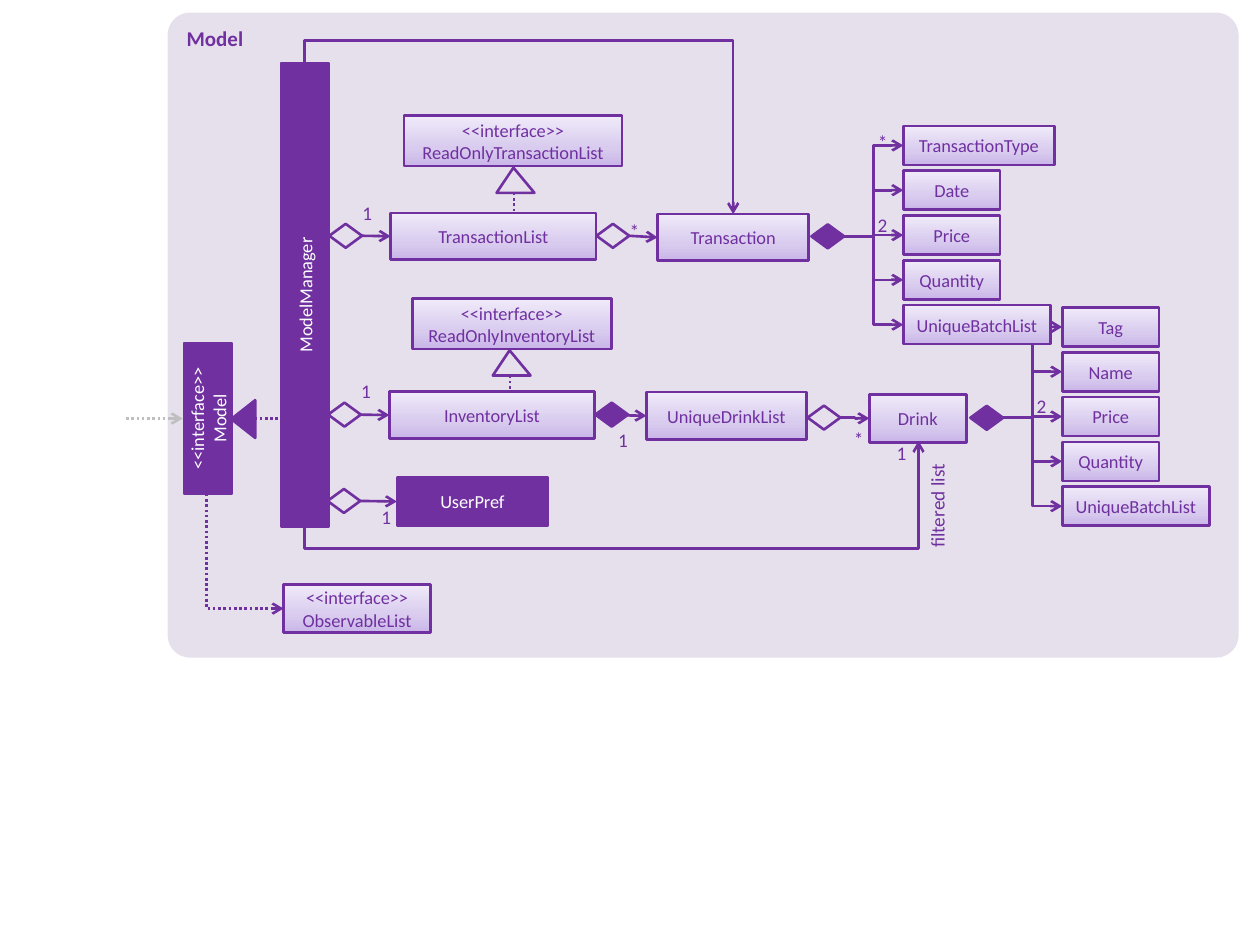
from copy import deepcopy

from pptx import Presentation
from pptx.dml.color import RGBColor
from pptx.enum.dml import MSO_LINE
from pptx.enum.shapes import MSO_CONNECTOR, MSO_SHAPE
from pptx.enum.text import MSO_ANCHOR, PP_ALIGN
from pptx.oxml.ns import qn
from pptx.oxml.xmlchemy import OxmlElement
from pptx.util import Pt

COLORS = {"purple": "7030A0", "panel": "E6E0EC", "white": "FFFFFF", "gray": "BFBFBF"}
GRADIENT = [(0, "C9B5E8"), (0.35, "D8CBEE"), (1, "F0EAF9")]
TOP, LEFT, BOTTOM, RIGHT = range(4)
DIAMOND = (18.7, 13.7)
STRAIGHT, ELBOW = MSO_CONNECTOR.STRAIGHT, MSO_CONNECTOR.ELBOW


def color(name):
    """Return the named colour."""
    return RGBColor.from_string(COLORS[name])


def write(shape, text, ink="purple", size=10.5, bold=False,
          align=PP_ALIGN.CENTER, anchor=MSO_ANCHOR.MIDDLE):
    """Put formatted text into a shape."""
    frame = shape.text_frame
    frame.word_wrap = True
    frame.vertical_anchor = anchor
    frame.text = text
    for para in frame.paragraphs:
        para.alignment = align
        para.font.color.rgb = color(ink)
        for key, value in {"name": "Calibri", "size": Pt(size), "bold": bold}.items():
            setattr(para.font, key, value)


def add_form(page, kind, box, fill=None, outline=True, turn=0):
    """Add a preset shape with a plain fill or none."""
    shape = page.shapes.add_shape(kind, *map(Pt, box))
    shape.shadow.inherit = False
    shape.rotation = turn
    if fill:
        shape.fill.solid()
        shape.fill.fore_color.rgb = color(fill)
    else:
        shape.fill.background()
    if outline:
        shape.line.color.rgb = color("purple")
        shape.line.width = Pt(1.5)
    else:
        shape.line.fill.background()
    return shape


def add_solid_box(page, box, text, turn=0):
    """Add a dark class box with white text."""
    shape = add_form(page, MSO_SHAPE.RECTANGLE, box, "purple", turn=turn)
    write(shape, text, "white")
    return shape


def add_class_box(page, box, text):
    """Add a light gradient class box."""
    shape = add_form(page, MSO_SHAPE.RECTANGLE, box)
    shape.fill.gradient()
    shape.fill.gradient_angle = 90
    first = shape.element.xpath(".//a:gs")[0]
    first.addnext(deepcopy(first))
    for stop, (position, value) in zip(shape.fill.gradient_stops, GRADIENT):
        stop.position = position
        stop.color.rgb = RGBColor.from_string(value)
    write(shape, text)
    return shape


def add_diamond(page, left, top, fill=None):
    """Add an aggregation or, when filled, a composition diamond."""
    return add_form(page, MSO_SHAPE.FLOWCHART_DECISION, (left, top, *DIAMOND), fill)


def add_label(page, text, left, top, width=15.1, height=14.4):
    """Add a multiplicity label."""
    label = page.shapes.add_textbox(*map(Pt, (left, top, width, height)))
    for side in ("left", "top", "right", "bottom"):
        setattr(label.text_frame, f"margin_{side}", 0)
    write(label, text, size=11, anchor=MSO_ANCHOR.TOP)


def add_link(page, begin, end, kind=STRAIGHT, turn=0, bend=None, preset=None,
             ink="purple", dotted=False, arrow=True):
    """Add a connector whose ends hold after it is turned."""
    middle = [(a + b) / 2 for a, b in zip(begin, end)]
    sine = {0: 0, 90: 1, 270: -1}[turn]
    cosine = 1 - abs(sine)
    ends = []
    for x, y in (begin, end):
        across, down = x - middle[0], y - middle[1]
        ends += [middle[0] + across * cosine + down * sine,
                 middle[1] + down * cosine - across * sine]
    link = page.shapes.add_connector(kind, *map(Pt, ends))
    link.line.color.rgb = color(ink)
    link.line.width = Pt(1.5)
    if dotted:
        link.line.dash_style = MSO_LINE.ROUND_DOT
    props = link.element.spPr
    if arrow:
        tail = OxmlElement("a:tailEnd")
        tail.set("type", "arrow")
        props.find(qn("a:ln")).append(tail)
    props.append(OxmlElement("a:effectLst"))
    if turn:
        props.find(qn("a:xfrm")).set("rot", str(turn * 60000))
    geometry = props.find(qn("a:prstGeom"))
    if preset:
        geometry.set("prst", preset)
    if bend is not None:
        guide = OxmlElement("a:gd")
        guide.set("name", "adj1")
        guide.set("fmla", f"val {round(bend * 100000)}")
        geometry.get_or_add_avLst().append(guide)
    return link


def join(page, source, target, kind=STRAIGHT, site=RIGHT):
    """Link a side of one shape to the left side of another."""
    link = add_link(page, (0, 0), (10, 10), kind)
    link.begin_connect(source, site)
    link.end_connect(target, LEFT)


def add_fan(page, left, top, items, labels):
    """Add a composition diamond that branches to a column of parts."""
    diamond = add_diamond(page, left - 52.5, top + 56.2, "purple")
    for row, (name, width) in enumerate(items):
        part = add_class_box(page, (left, top + row * 25.6, width, 22.3), name)
        join(page, diamond, part, ELBOW)
    for text, offset in labels:
        add_label(page, text, left - 19.4, top + offset)


def add_list_row(page, left, top, name, interface, width, lift, peak, fill=None):
    """Add a list class with its interface above and diamonds on both sides."""
    entry = add_class_box(page, (left, top, 117.4, 26.6), name)
    add_class_box(page, (left + 70 - width / 2, top - lift, width, 28.8),
                  f"<<interface>>\v{interface}")
    roof = top - lift + 29.6
    add_link(page, (left + peak, roof + 14.4), (left + peak, top), ELBOW,
             turn=270, dotted=True, arrow=False)
    triangle = add_form(page, MSO_SHAPE.ISOSCELES_TRIANGLE,
                        (left + peak - 10, roof, 21.6, 14.4), "panel")
    triangle.adjustments[0] = 0.445
    middle = top + 6.2
    join(page, add_diamond(page, left - 35, middle), entry)
    return add_diamond(page, left + 117.7, middle, fill)


def add_transactions(page, left, top):
    """Add the transaction list and the transaction class."""
    diamond = add_list_row(page, left, top, "TransactionList",
                           "ReadOnlyTransactionList", 124.6, 55.5, 70.6)
    entry = add_class_box(page, (left + 152.6, top + 0.7, 86.4, 26.6), "Transaction")
    join(page, diamond, entry)
    add_label(page, "1", left - 20.2, top - 6.5, 13.7, 10.8)
    add_label(page, "*", left + 132.5, top + 3.6, 13.7, 10.8)


def add_inventory(page, left, top):
    """Add the inventory list, the drink list and the drink class."""
    diamond = add_list_row(page, left, top, "InventoryList",
                           "ReadOnlyInventoryList", 113.8, 53.3, 69.1, "purple")
    drinks = add_class_box(page, (left + 146.9, top, 91.4, 27.4), "UniqueDrinkList")
    join(page, diamond, drinks, site=LEFT)
    drink = add_class_box(page, (left + 274.3, top + 1.5, 55.4, 27.4), "Drink")
    join(page, add_diamond(page, left + 239, top + 7.9), drink, ELBOW)
    add_label(page, "1", left - 20.2, top - 7.2, 13.7, 10.8)
    for text, across, down in (("1", 126, 20.9), ("*", 260.6, 20.2), ("1", 285.1, 28.1)):
        add_label(page, text, left + across, top + down)


def add_manager(page, left, top):
    """Add the panel, the manager, its interfaces and the preferences."""
    panel = add_form(page, MSO_SHAPE.ROUNDED_RECTANGLE, (left, top, 612, 368.6),
                     "panel", outline=False)
    panel.adjustments[0] = 0.035
    write(panel, "Model", size=12, bold=True, align=PP_ALIGN.LEFT, anchor=MSO_ANCHOR.TOP)
    preferences = add_solid_box(page, (left + 131, top + 265.7, 86.4, 27.4), "UserPref")
    add_solid_box(page, (left - 54, top + 147.6, 265, 27.4), "ModelManager", 270)
    add_solid_box(page, (left - 20.2, top + 218.2, 86.4, 27.4), "<<interface>>\nModel", 270)
    add_form(page, MSO_SHAPE.ISOSCELES_TRIANGLE, (left + 32.4, top + 225.4, 21.6, 13.7),
             "purple", turn=270)
    middle = top + 232
    add_link(page, (left - 23.8, middle), (left + 8.6, middle), ELBOW,
             ink="gray", dotted=True)
    add_link(page, (left + 49.6, middle), (left + 66.9, middle), dotted=True, arrow=False)
    join(page, add_diamond(page, left + 91.4, top + 272.2), preferences)
    add_label(page, "1", left + 117.3, top + 281.5)
    add_class_box(page, (left + 66.2, top + 326.9, 84.2, 27.4),
                  "<<interface>>\vObservableList")
    add_link(page, (left + 22.3, top + 275), (left + 66.2, top + 340.6), ELBOW,
             turn=270, preset="bentConnector2", dotted=True)


def add_manager_routes(page, left, top):
    """Add the long routes from the manager and the filtered list label."""
    add_link(page, (left, top), (left + 244.8, top + 86.4), ELBOW, turn=270, bend=-0.148)
    add_link(page, (left, top + 265), (left + 350.7, top + 216), ELBOW, turn=90, bend=-0.253)
    label = page.shapes.add_textbox(*map(Pt, (left + 326.9, top + 246.2, 69.1, 20.9)))
    label.rotation = 270
    write(label, "filtered list", size=11, align=PP_ALIGN.RIGHT, anchor=MSO_ANCHOR.TOP)


def main():
    """Build and save the slide."""
    deck = Presentation()
    deck.slide_width, deck.slide_height = Pt(720), Pt(540)
    page = deck.slides.add_slide(deck.slide_layouts[6])
    add_manager(page, 95.8, 7.2)
    add_inventory(page, 222.5, 223.9)
    add_transactions(page, 223.2, 121.7)
    add_manager_routes(page, 174.2, 36)
    shared = [("Price", 55.4), ("Quantity", 55.4), ("UniqueBatchList", 84.2)]
    add_fan(page, 607, 175.7, [("Tag", 55.4), ("Name", 55.4), *shared], [("2", 49.7)])
    add_fan(page, 516.2, 72, [("TransactionType", 86.4), ("Date", 55.4), *shared],
            [("*", 2.2), ("2", 49.7)])
    deck.save("out.pptx")


if __name__ == "__main__":
    main()
